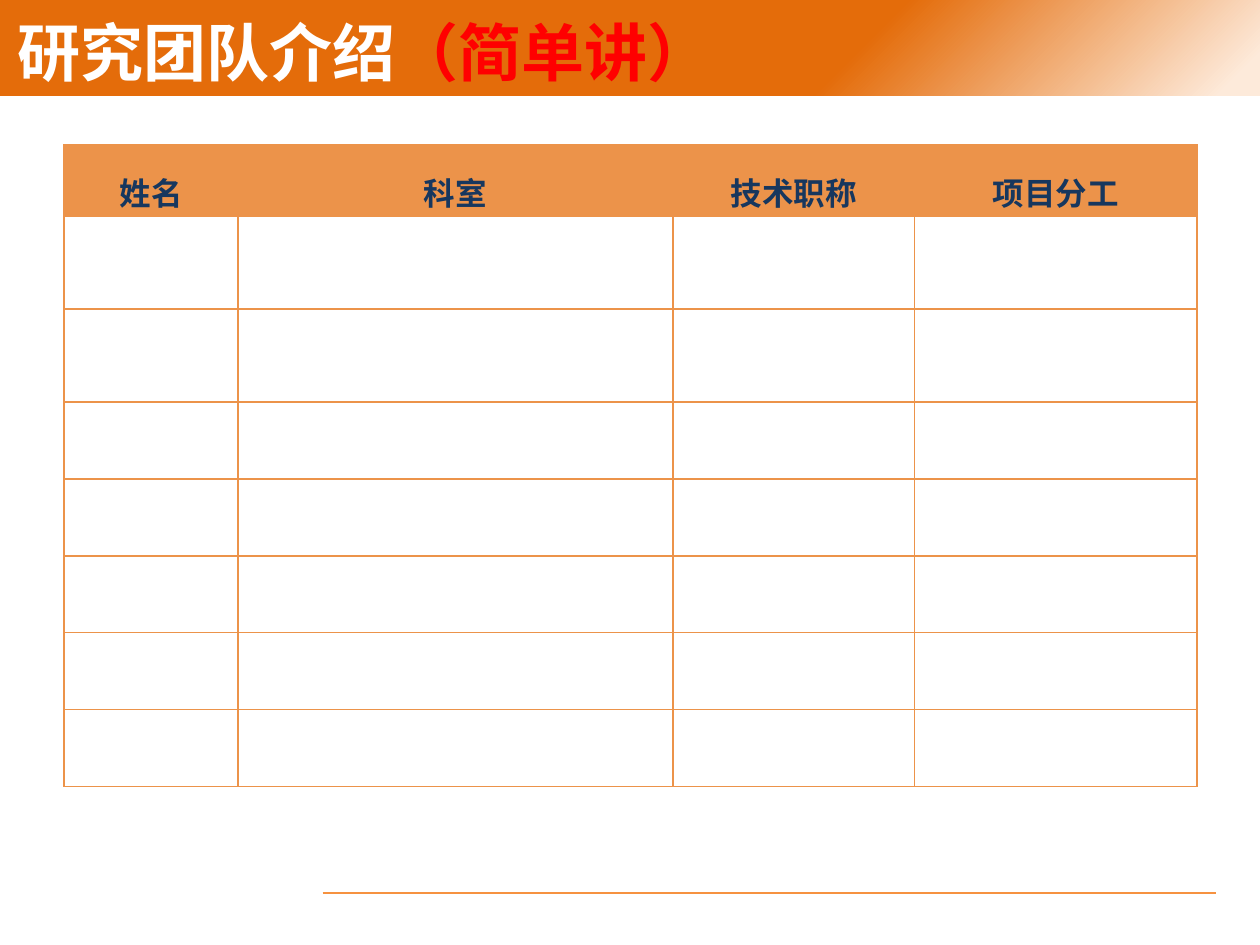
from dataclasses import dataclass

from lxml import etree
from pptx import Presentation
from pptx.dml.color import RGBColor
from pptx.enum import shapes, text
from pptx.oxml import parse_xml
from pptx.oxml.ns import nsdecls, qn
from pptx.util import Inches, Pt


@dataclass(frozen=True)
class Theme:
    banner: str = "E46C0A"
    banner_light: str = "FDEADA"
    table: str = "EC934A"
    rule: str = "F69240"
    white: str = "FFFFFF"
    note: str = "FF0000"
    heading: str = "17375E"
    title_size: int = 36
    heading_size: int = 18
    title_font: str = "Calibri"
    heading_font: str = "Noto Sans CJK SC"


theme = Theme()


def rgb(value):
    return RGBColor.from_string(value)


def add_borders(cell, color):
    for index, side in enumerate(("lnL", "lnR", "lnT", "lnB")):
        cell._tc.get_or_add_tcPr().insert(index, parse_xml(
            f'<a:{side} {nsdecls("a")} w="12700"><a:solidFill>'
            f'<a:srgbClr val="{color}"/></a:solidFill></a:{side}>'))


prs = Presentation()
prs.slide_width, prs.slide_height = Inches(10), Inches(7.5)
slide = prs.slides.add_slide(prs.slide_layouts[5])

rule = slide.shapes.add_connector(
    shapes.MSO_CONNECTOR.STRAIGHT, Inches(2.56), Inches(7.09), Inches(9.65), Inches(7.09))
rule.line.color.rgb = rgb(theme.rule)
rule.line.width = Pt(1)
etree.SubElement(rule._element.spPr, qn("a:effectLst"))

banner = slide.shapes.add_shape(
    shapes.MSO_SHAPE.RECTANGLE, Inches(0), Inches(-0.03), Inches(10), Inches(0.79))
banner.shadow.inherit = False
banner.line.fill.background()
banner._element.spPr.find(qn("a:prstGeom")).addnext(parse_xml(
    f'<a:gradFill {nsdecls("a")} rotWithShape="1"><a:gsLst>'
    f'<a:gs pos="3000"><a:srgbClr val="{theme.banner_light}"/></a:gs>'
    f'<a:gs pos="33000"><a:srgbClr val="{theme.banner}"/></a:gs></a:gsLst>'
    '<a:path path="circle"><a:fillToRect l="100000" t="100000"/></a:path></a:gradFill>'))

title = slide.shapes.title
title.left, title.top, title.width, title.height = (
    Inches(0.04), Inches(0.05), Inches(6.03), Inches(0.71))
banner._element.addnext(title._element)
frame = title.text_frame
frame.auto_size = text.MSO_AUTO_SIZE.NONE
frame.word_wrap = True
frame.vertical_anchor = text.MSO_ANCHOR.MIDDLE
frame.margin_top = frame.margin_bottom = 0
heading = frame.paragraphs[0]
heading.alignment = text.PP_ALIGN.JUSTIFY
heading.font.name = theme.title_font
heading.font.size = Pt(theme.title_size)
heading.font.bold = True
for words, color in (("研究团队介绍", theme.white), ("（简单讲）", theme.note)):
    run = heading.add_run()
    run.text = words
    run.font.color.rgb = rgb(color)

columns = [("姓名", 1.38), ("科室", 3.45), ("技术职称", 1.92), ("项目分工", 2.24)]
row_heights = [0.42] + [0.74] * 2 + [0.61] * 5
team = slide.shapes.add_table(
    len(row_heights), len(columns), Inches(0.51), Inches(1.15),
    Inches(8.98), Inches(sum(row_heights))).table
for row, height in zip(team.rows, row_heights):
    row.height = Inches(height)
for index, (label, width) in enumerate(columns):
    team.columns[index].width = Inches(width)
    team.cell(0, index).text = label

for row_index, row in enumerate(team.rows):
    for cell in row.cells:
        cell.fill.solid()
        cell.fill.fore_color.rgb = rgb(theme.white if row_index else theme.table)
        add_borders(cell, theme.table)
        if row_index == 0:
            cell.margin_top = cell.margin_bottom = Inches(0.01)
            cell.vertical_anchor = text.MSO_ANCHOR.BOTTOM
            label = cell.text_frame.paragraphs[0]
            label.alignment = text.PP_ALIGN.CENTER
            label.line_spacing = 1.5
            label.font.name = theme.heading_font
            label.font.size = Pt(theme.heading_size)
            label.font.bold = True
            label.font.color.rgb = rgb(theme.heading)

prs.save("out.pptx")
